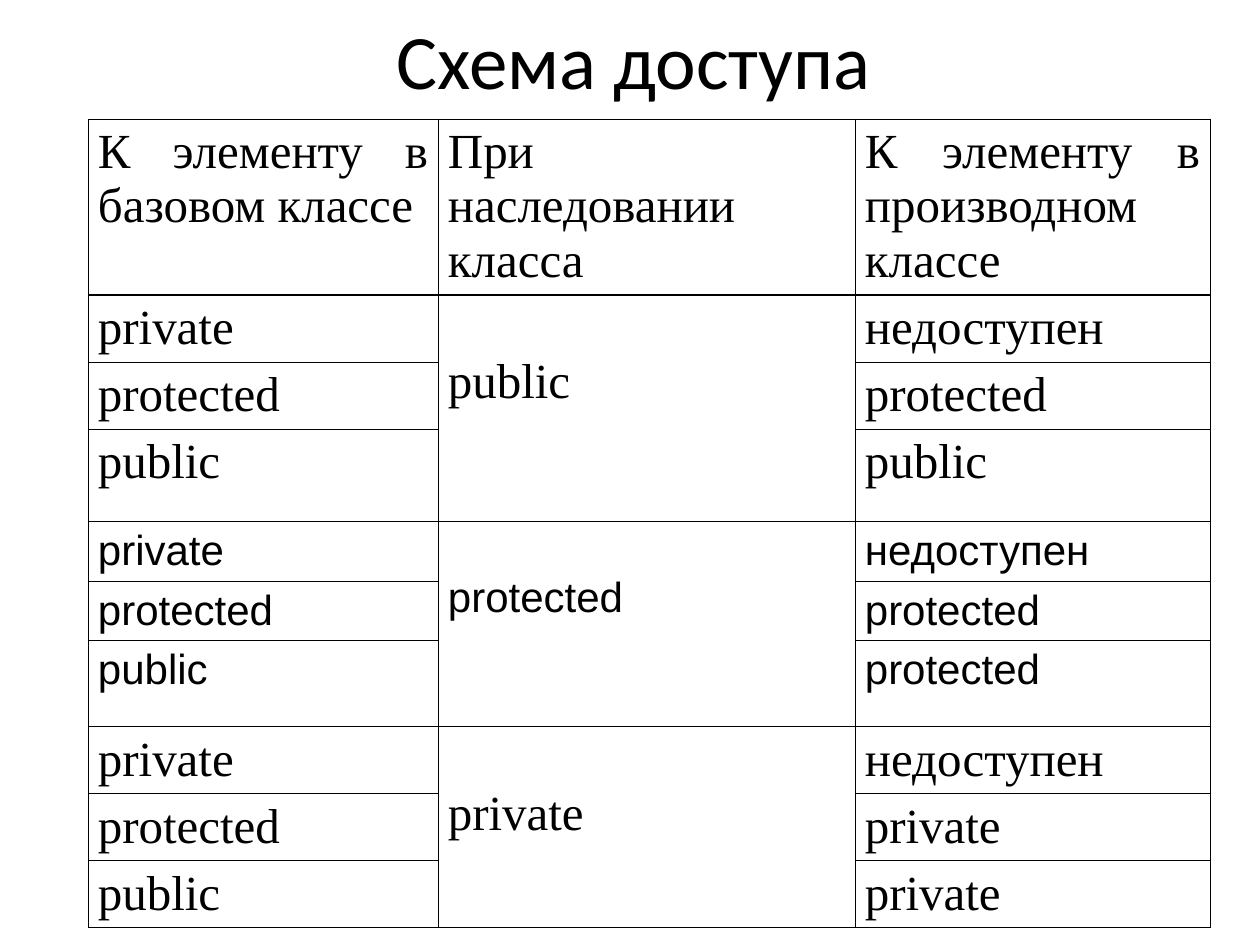
from lxml.etree import SubElement
from pptx import Presentation
from pptx.dml.color import RGBColor
from pptx.enum.text import MSO_ANCHOR as Anchor, PP_ALIGN as Align
from pptx.oxml.ns import qn
from pptx.util import Pt

PX = 914400 / 126
COLORS = {"ink": "000000"}
SERIF = ("Times New Roman", 28)
SANS = ("Arial", 24)
THIN, THICK = 0.45, 0.75
LEVELS = ["private", "protected", "public"]

HEADERS = ["К элементу в базовом классе", "При наследовании класса",
           "К элементу в производном классе"]
# Inheritance kind, access in the derived class, font, row heights, top inset of the kind
GROUPS = [
    ("public", ["недоступен", "protected", "public"], SERIF, [67, 67, 93], 60),
    ("protected", ["недоступен", "protected", "protected"], SANS, [60, 59, 86], 53),
    ("private", ["недоступен", "private", "private"], SERIF, [67, 67, 67], 60),
]
COLUMN_WIDTHS = [350, 417, 355]
HEADER_HEIGHT = 176


def px(length):
    return round(length * PX)


def write(paragraph, text, font, align):
    paragraph.alignment = align
    run = paragraph.add_run()
    run.text = text
    run.font.name, size = font
    run.font.size = Pt(size)
    run.font.color.rgb = RGBColor.from_string(COLORS["ink"])


def set_borders(cell, top, bottom):
    properties = cell._tc.get_or_add_tcPr()
    for side, width in (("L", THIN), ("R", THIN), ("T", top), ("B", bottom)):
        line = SubElement(properties, qn(f"a:ln{side}"), w=str(Pt(width)))
        fill = SubElement(line, qn("a:solidFill"))
        SubElement(fill, qn("a:srgbClr"), val=COLORS["ink"])


def fill_cell(cell, text, font, top_inset=6, right_inset=10):
    cell.margin_left, cell.margin_right = px(10), px(right_inset)
    cell.margin_top, cell.margin_bottom = px(top_inset), px(6)
    cell.vertical_anchor = Anchor.TOP
    write(cell.text_frame.paragraphs[0], text, font, Align.JUSTIFY)


def add_title(slide, left, top, width, height):
    title = slide.shapes.title
    title.left, title.top, title.width, title.height = map(px, (left, top, width, height))
    title.text_frame.vertical_anchor = Anchor.MIDDLE
    write(title.text_frame.paragraphs[0], "Схема доступа", ("Calibri", 44), Align.CENTER)


def add_access_table(slide, left, top):
    heights = [HEADER_HEIGHT] + [height for group in GROUPS for height in group[3]]
    shape = slide.shapes.add_table(len(heights), len(COLUMN_WIDTHS), px(left), px(top),
                                   px(sum(COLUMN_WIDTHS)), px(sum(heights)))
    table = shape.table
    table.first_row = table.horz_banding = False
    for column, width in zip(table.columns, COLUMN_WIDTHS):
        column.width = px(width)

    # Heavier rules separate the header and the groups
    last = len(heights) - 1
    for index, height in enumerate(heights):
        table.rows[index].height = px(height)
        above = THICK if index % 3 == 1 else THIN
        below = THICK if index % 3 == 0 and index < last else THIN
        for cell in table.rows[index].cells:
            set_borders(cell, above, below)
            cell.fill.background()

    # Header: a wider right inset keeps each word of the middle one on its own line
    for column, text in enumerate(HEADERS):
        fill_cell(table.cell(0, column), text, SERIF, right_inset=40 if column == 1 else 10)

    # One group of three rows for each kind of inheritance
    for number, (kind, results, font, _, inset) in enumerate(GROUPS):
        first = 1 + number * len(LEVELS)
        table.cell(first, 1).merge(table.cell(first + len(LEVELS) - 1, 1))
        fill_cell(table.cell(first, 1), kind, font, top_inset=inset)
        for row, (level, result) in enumerate(zip(LEVELS, results), first):
            fill_cell(table.cell(row, 0), level, font)
            fill_cell(table.cell(row, 2), result, font)


def main():
    presentation = Presentation()
    presentation.slide_width, presentation.slide_height = px(1260), px(945)
    slide = presentation.slides.add_slide(presentation.slide_layouts[5])
    add_title(slide, 98, 29, 1071, 59)
    add_access_table(slide, 88, 119)
    presentation.save("out.pptx")


if __name__ == "__main__":
    main()
